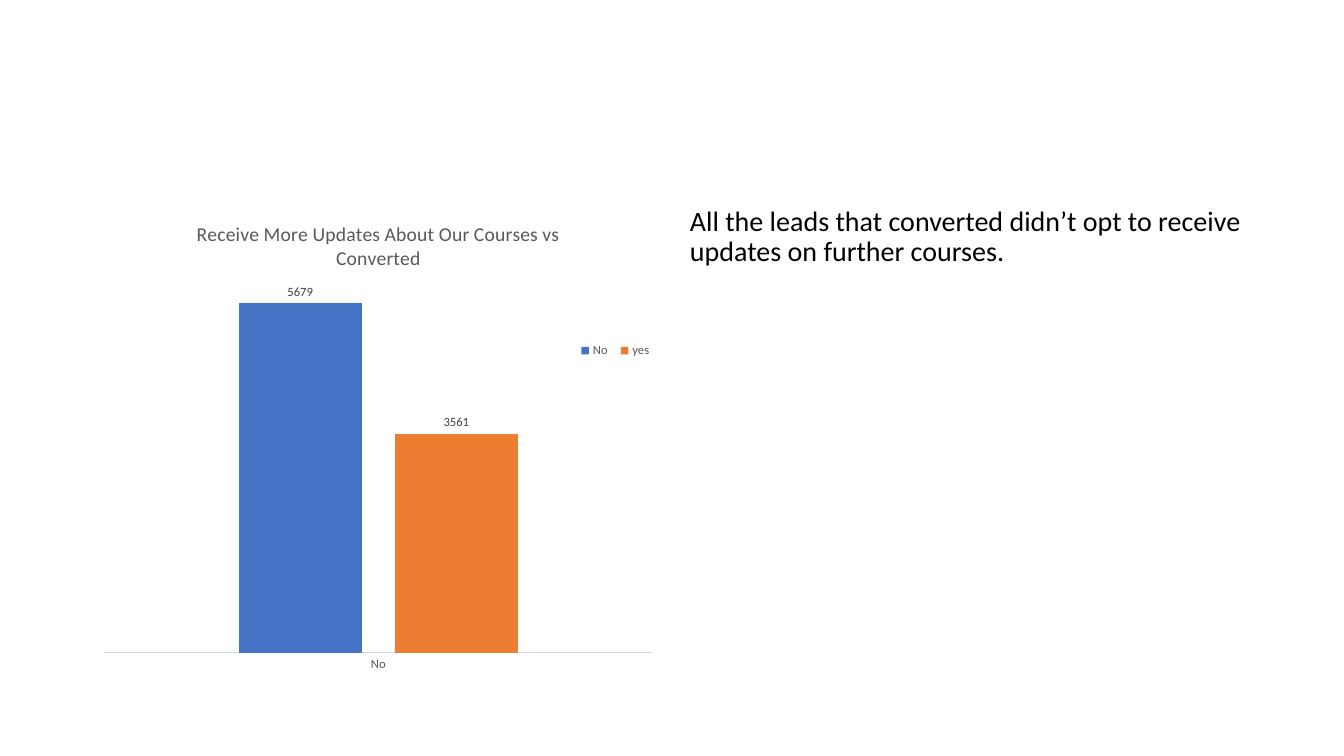
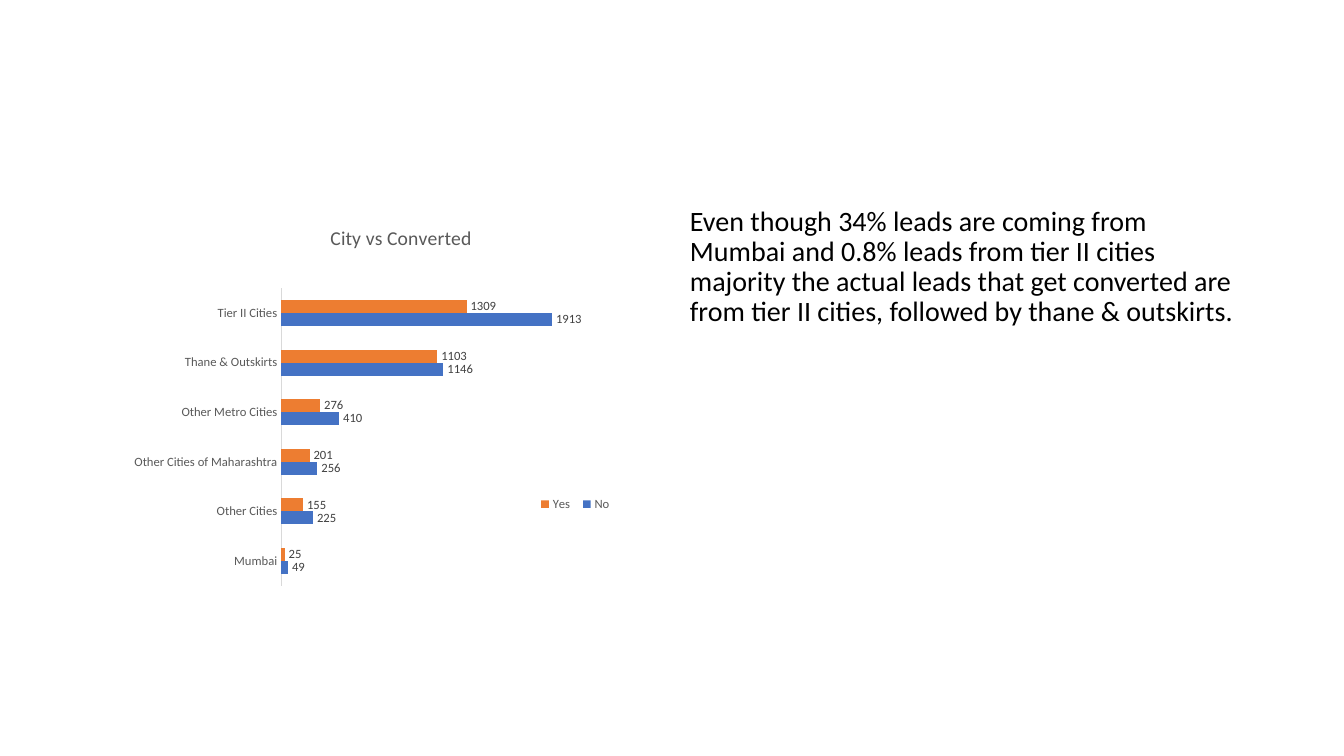
import pptx
import pptx.chart.data
import pptx.dml.color
import pptx.enum.chart
import pptx.enum.text
import pptx.oxml
import pptx.oxml.ns
import pptx.util

XL = pptx.enum.chart
Pt = pptx.util.Pt


def rgb(hex_text):
    return pptx.dml.color.RGBColor.from_string(hex_text)


def place(parent, index, inner=False, **shares):
    """Give a chart part a manual layout, in shares of the chart's size."""
    old = parent.find(pptx.oxml.ns.qn("c:layout"))
    if old is not None:
        parent.remove(old)
    tags = '<c:layoutTarget val="inner"/>' if inner else ""
    tags += "".join(f'<c:{axis}Mode val="edge"/>' for axis in "xy")
    tags += "".join(f'<c:{key} val="{shares[key]}"/>' for key in "xywh" if key in shares)
    parent.insert(index, pptx.oxml.parse_xml(
        f'<c:layout {pptx.oxml.ns.nsdecls("c")}>'
        f"<c:manualLayout>{tags}</c:manualLayout></c:layout>"))


class Deck:
    FONT = "Calibri"
    BLACK, GREY, DARK, RULE = "000000", "595959", "404040", "D9D9D9"
    SERIES = ("4472C4", "ED7D31")
    # Two columns, as shares of the slide
    LEFT, TOP, WIDTH, HEIGHT, GAP = 0.069, 0.267, 0.425, 0.635, 0.012

    def __init__(self):
        self.prs = pptx.Presentation()
        self.prs.slide_width = pptx.util.Inches(13.33)
        self.prs.slide_height = pptx.util.Inches(7.5)
        self.s = None

    def add_slide(self):
        self.s = self.prs.slides.add_slide(self.prs.slide_layouts[6])

    def column(self, number):
        w, h = self.prs.slide_width, self.prs.slide_height
        x = self.LEFT + number * (self.WIDTH + self.GAP)
        return int(x * w), int(self.TOP * h), int(self.WIDTH * w), int(self.HEIGHT * h)

    def style(self, font, size, color):
        font.name, font.size, font.bold = self.FONT, Pt(size), False
        font.color.rgb = rgb(color)

    def text(self, column, words):
        tf = self.s.shapes.add_textbox(*self.column(column)).text_frame
        tf.word_wrap = True
        tf.auto_size = pptx.enum.text.MSO_AUTO_SIZE.NONE
        p = tf.paragraphs[0]
        p.text = words
        p.line_spacing = 0.9
        self.style(p.font, 20, self.BLACK)

    def chart(self, column, kind, title, cats, series, top, gap, overlap,
              plot_at, legend_at, title_at=None):
        data = pptx.chart.data.CategoryChartData()
        data.categories = cats
        for name, values in series:
            data.add_series(name, values)
        chart = self.s.shapes.add_chart(kind, *self.column(column), data).chart
        self.style(chart.font, 10, self.BLACK)

        # Title
        chart.has_title = True
        tf = chart.chart_title.text_frame
        tf.text = title
        self.style(tf.paragraphs[0].font, 14, self.GREY)
        if title_at:
            place(chart.chart_title._element, 1, **title_at)

        # Axes
        axis = chart.category_axis
        axis.major_tick_mark = axis.minor_tick_mark = XL.XL_TICK_MARK.NONE
        axis.format.line.color.rgb = rgb(self.RULE)
        axis.format.line.width = Pt(0.75)
        self.style(axis.tick_labels.font, 9, self.GREY)
        values = chart.value_axis
        values.visible = values.has_major_gridlines = False
        values.minimum_scale, values.maximum_scale = 0, top

        # Bars and their labels
        plot = chart.plots[0]
        plot.gap_width, plot.overlap = gap, overlap
        plot.vary_by_categories = False
        for bars, color in zip(plot.series, self.SERIES):
            bars.format.fill.solid()
            bars.format.fill.fore_color.rgb = rgb(color)
            labels = bars.data_labels
            labels.show_value = True
            labels.position = XL.XL_LABEL_POSITION.OUTSIDE_END
            self.style(labels.font, 9, self.DARK)
        place(chart._chartSpace.chart.plotArea, 0, inner=True, **plot_at)

        # Legend
        chart.has_legend = True
        legend = chart.legend
        legend.position = XL.XL_LEGEND_POSITION.BOTTOM
        legend.include_in_layout = True
        self.style(legend.font, 9, self.GREY)
        place(legend._element, 1, **legend_at)


def main():
    deck = Deck()

    # Updates on courses
    deck.add_slide()
    deck.text(1, "All the leads that converted didn’t opt to receive updates on further courses.")
    deck.chart(
        0, XL.XL_CHART_TYPE.COLUMN_CLUSTERED,
        "Receive More Updates About Our Courses vs Converted",
        ["No"], [("No", [5679]), ("yes", [3561])],
        top=6000, gap=219, overlap=-27,
        plot_at=dict(x=0.02, y=0.17, w=0.96, h=0.77),
        legend_at=dict(x=0.84, y=0.28, w=0.15, h=0.06))

    # Cities
    deck.add_slide()
    deck.text(1, "Even though 34% leads are coming from Mumbai and 0.8% leads from tier II "
                 "cities majority the actual leads that get converted are from tier II "
                 "cities, followed by thane & outskirts.")
    deck.chart(
        0, XL.XL_CHART_TYPE.BAR_CLUSTERED, "City vs Converted",
        ["Mumbai", "Other Cities", "Other Cities of Maharashtra",
         "Other Metro Cities", "Thane & Outskirts", "Tier II Cities"],
        [("No", [49, 225, 256, 410, 1146, 1913]),
         ("Yes", [25, 155, 201, 276, 1103, 1309])],
        top=2500, gap=182, overlap=0,
        plot_at=dict(x=0.33, y=0.18, w=0.62, h=0.62),
        legend_at=dict(x=0.77, y=0.6, w=0.15, h=0.06),
        title_at=dict(x=0.41, y=0.04))

    deck.prs.save("out.pptx")


if __name__ == "__main__":
    main()
